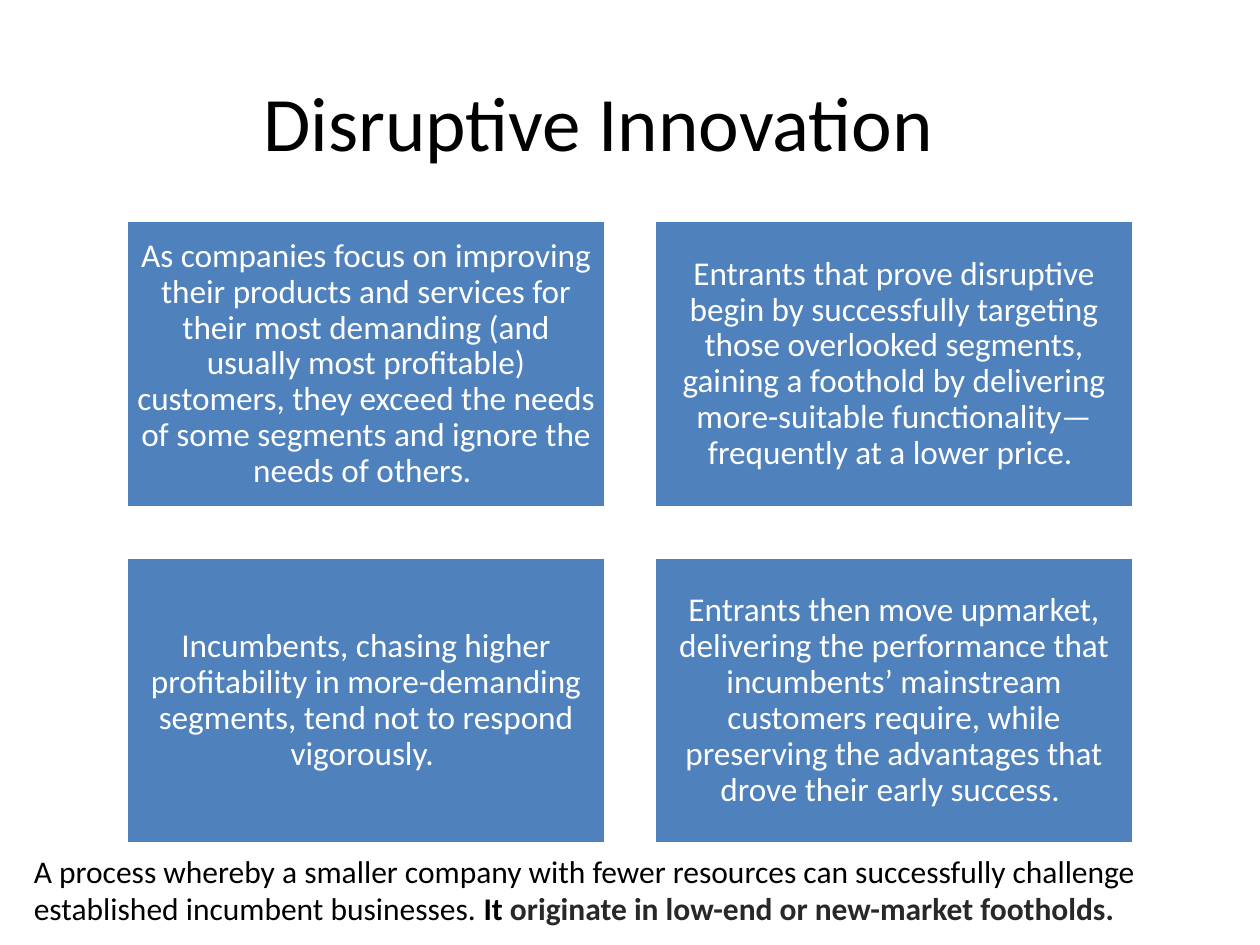
from pptx import Presentation
from pptx.dml.color import RGBColor
from pptx.enum.shapes import MSO_SHAPE
from pptx.enum.text import MSO_ANCHOR, PP_ALIGN
from pptx.util import Inches, Pt

BLACK = RGBColor(0x00, 0x00, 0x00)
WHITE = RGBColor(0xFF, 0xFF, 0xFF)
BLUE = RGBColor(0x4F, 0x81, 0xBD)
DARK_GRAY = RGBColor(0x28, 0x28, 0x28)

STAGES = [
    "As companies focus on improving their products and services for their most "
    "demanding (and usually most profitable) customers, they exceed the needs of "
    "some segments and ignore the needs of others. ",
    "Entrants that prove disruptive begin by successfully targeting those "
    "overlooked segments, gaining a foothold by delivering more-suitable "
    "functionality—frequently at a lower price. ",
    "Incumbents, chasing higher profitability in more-demanding segments, tend "
    "not to respond vigorously. ",
    "Entrants then move upmarket, delivering the performance that incumbents’ "
    "mainstream customers require, while preserving the advantages that drove "
    "their early success. ",
]
DEFINITION = [
    ("A process whereby a smaller company with fewer resources can successfully "
     "challenge established incumbent businesses. ", False, BLACK),
    ("It ", True, BLACK),
    ("originate in low-end or new-market footholds.", True, DARK_GRAY),
]


def set_font(p, size, color):
    p.font.name = "Calibri"
    p.font.size = Pt(size)
    p.font.color.rgb = color


prs = Presentation()
prs.slide_width, prs.slide_height = Inches(10), Inches(7.5)
slide = prs.slides.add_slide(prs.slide_layouts[6])

# Title
title = slide.shapes.add_textbox(Inches(0), Inches(0.33), Inches(9.5), Inches(1.25))
tf = title.text_frame
tf.word_wrap = True
tf.vertical_anchor = MSO_ANCHOR.MIDDLE
p = tf.paragraphs[0]
p.text = "Disruptive Innovation"
p.alignment = PP_ALIGN.CENTER
set_font(p, 44, BLACK)

# Two-by-two grid of stages
box_w, box_h = 3.81, 2.28
step_x, step_y = 4.19, 2.67
for i, stage in enumerate(STAGES):
    row, col = divmod(i, 2)
    sp = slide.shapes.add_shape(
        MSO_SHAPE.RECTANGLE, Inches(1 + col * step_x), Inches(1.75 + row * step_y),
        Inches(box_w), Inches(box_h))
    sp.shadow.inherit = False
    sp.fill.solid()
    sp.fill.fore_color.rgb = BLUE
    sp.line.color.rgb = WHITE
    sp.line.width = Pt(2)
    tf = sp.text_frame
    tf.word_wrap = True
    tf.vertical_anchor = MSO_ANCHOR.MIDDLE
    tf.margin_left = tf.margin_right = tf.margin_top = tf.margin_bottom = Inches(0.08)
    p = tf.paragraphs[0]
    p.text = stage
    p.alignment = PP_ALIGN.CENTER
    p.line_spacing = 0.9
    set_font(p, 19, WHITE)

# Definition
definition = slide.shapes.add_textbox(Inches(0.17), Inches(6.71), Inches(9.58), Inches(0.71))
tf = definition.text_frame
tf.word_wrap = True
p = tf.paragraphs[0]
set_font(p, 18, BLACK)
for text, bold, color in DEFINITION:
    r = p.add_run()
    r.text = text
    r.font.bold = bold
    r.font.color.rgb = color

prs.save("out.pptx")
